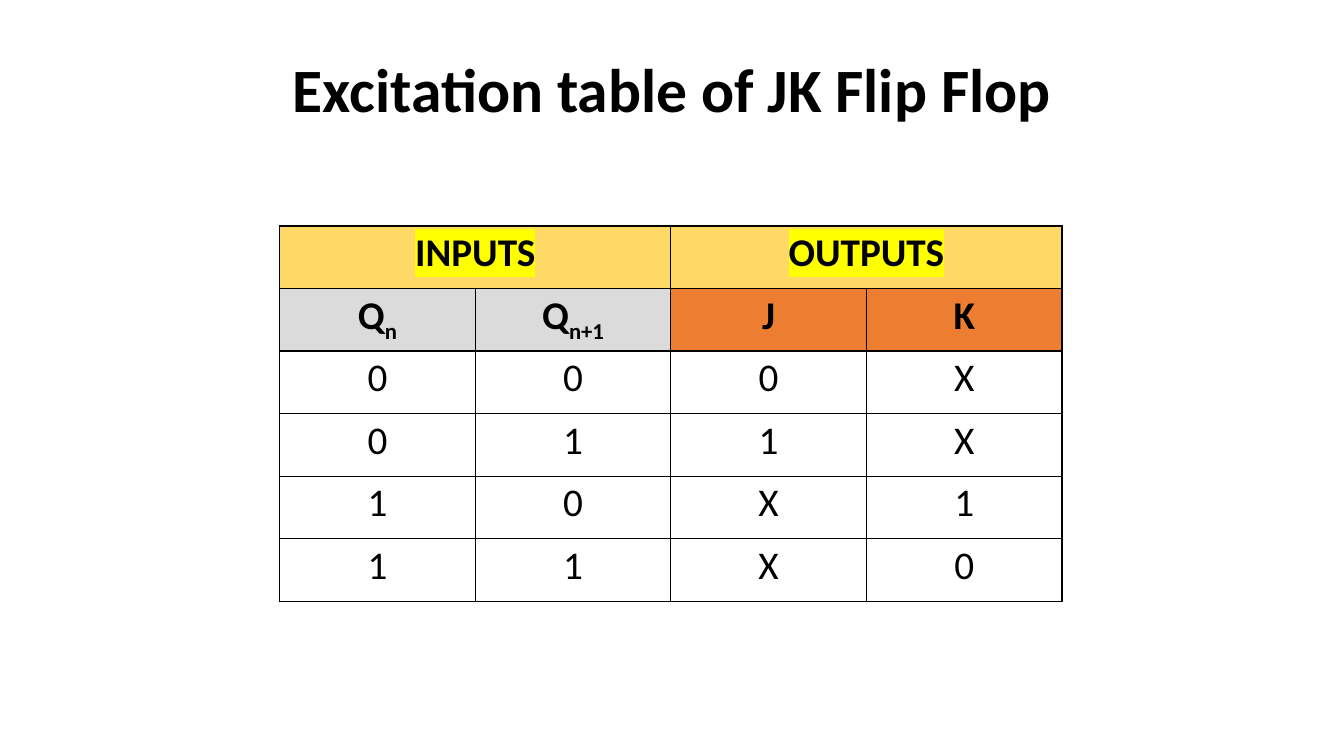
from lxml.etree import SubElement
from pptx import Presentation
from pptx.dml.color import RGBColor
from pptx.enum.text import MSO_ANCHOR as Anchor, PP_ALIGN as Align
from pptx.oxml.ns import qn
from pptx.util import Pt

BLACK, GOLD, GREY, ORANGE, YELLOW = "000000", "FFD966", "DBDBDB", "ED7D31", "FFFF00"
HEADINGS = ["INPUTS", "OUTPUTS"]
# Each signal: name, subscript, fill
SIGNALS = [("Q", "n", GREY), ("Q", "n+1", GREY), ("J", "", ORANGE), ("K", "", ORANGE)]
TRANSITIONS = ["000X", "011X", "10X1", "11X0"]


def colour(value):
    return RGBColor.from_string(value)


def write(frame, text, size=28, bold=False, subscript="", highlight=None,
          line_spacing=1.07, after=8):
    """Write one centred paragraph, with an optional subscript."""
    paragraph = frame.paragraphs[0]
    paragraph.alignment = Align.CENTER
    paragraph.line_spacing = line_spacing
    paragraph.space_before = Pt(0)
    paragraph.space_after = Pt(after)
    for part, baseline in ((text, 0), (subscript, -25000)):
        if not part:
            continue
        run = paragraph.add_run()
        run.text = part
        run.font.size, run.font.bold = Pt(size), bold
        run.font.color.rgb = colour(BLACK)
        properties = run.font._element
        if baseline:
            properties.set("baseline", str(baseline))
        if highlight:
            marker = SubElement(properties, qn("a:highlight"))
            SubElement(marker, qn("a:srgbClr"), val=highlight)
        run.font.name = "Calibri"


def draw_borders(cell, width=1):
    properties = cell._tc.get_or_add_tcPr()
    for side in ("lnL", "lnR", "lnT", "lnB"):
        line = SubElement(properties, qn(f"a:{side}"), w=str(Pt(width)))
        fill = SubElement(line, qn("a:solidFill"))
        SubElement(fill, qn("a:srgbClr"), val=BLACK)


def format_cell(cell, fill=None):
    cell.margin_left = cell.margin_right = Pt(5.4)
    cell.margin_top = cell.margin_bottom = Pt(0)
    cell.vertical_anchor = Anchor.TOP
    draw_borders(cell)
    if fill:
        cell.fill.solid()
        cell.fill.fore_color.rgb = colour(fill)
    else:
        cell.fill.background()


def add_title(slide, left, top, width, height):
    title = slide.shapes.title
    title.left, title.top, title.width, title.height = map(Pt, (left, top, width, height))
    title.text_frame.vertical_anchor = Anchor.MIDDLE
    title.text_frame.word_wrap = True
    write(title.text_frame, "Excitation table of JK Flip Flop", size=44, bold=True,
          line_spacing=0.9, after=0)


def add_excitation_table(slide, left, top, width, height):
    row_count, column_count = 2 + len(TRANSITIONS), len(SIGNALS)
    table = slide.shapes.add_table(row_count, column_count, Pt(left), Pt(top),
                                   Pt(width), Pt(height)).table
    table.first_row = table.horz_banding = False
    for column in table.columns:
        column.width = Pt(width / column_count)
    for row in table.rows:
        row.height = Pt(height / row_count)

    # Merged group headings
    for index in range(column_count):
        format_cell(table.cell(0, index), GOLD)
    for group, heading in enumerate(HEADINGS):
        cell = table.cell(0, 2 * group)
        cell.merge(table.cell(0, 2 * group + 1))
        write(cell.text_frame, heading, bold=True, highlight=YELLOW)

    # Signal names
    for index, (name, subscript, fill) in enumerate(SIGNALS):
        cell = table.cell(1, index)
        format_cell(cell, fill)
        write(cell.text_frame, name, bold=True, subscript=subscript)

    # State transitions
    for row_index, states in enumerate(TRANSITIONS, start=2):
        for index, state in enumerate(states):
            cell = table.cell(row_index, index)
            format_cell(cell)
            write(cell.text_frame, state)


def main():
    deck = Presentation()
    deck.slide_width, deck.slide_height = Pt(960), Pt(540)
    slide = deck.slides.add_slide(deck.slide_layouts[5])
    add_title(slide, 21.6, 13.7, 917.3, 104.4)
    add_excitation_table(slide, 199.8, 161.5, 558.8, 267.9)
    deck.save("out.pptx")


if __name__ == "__main__":
    main()
